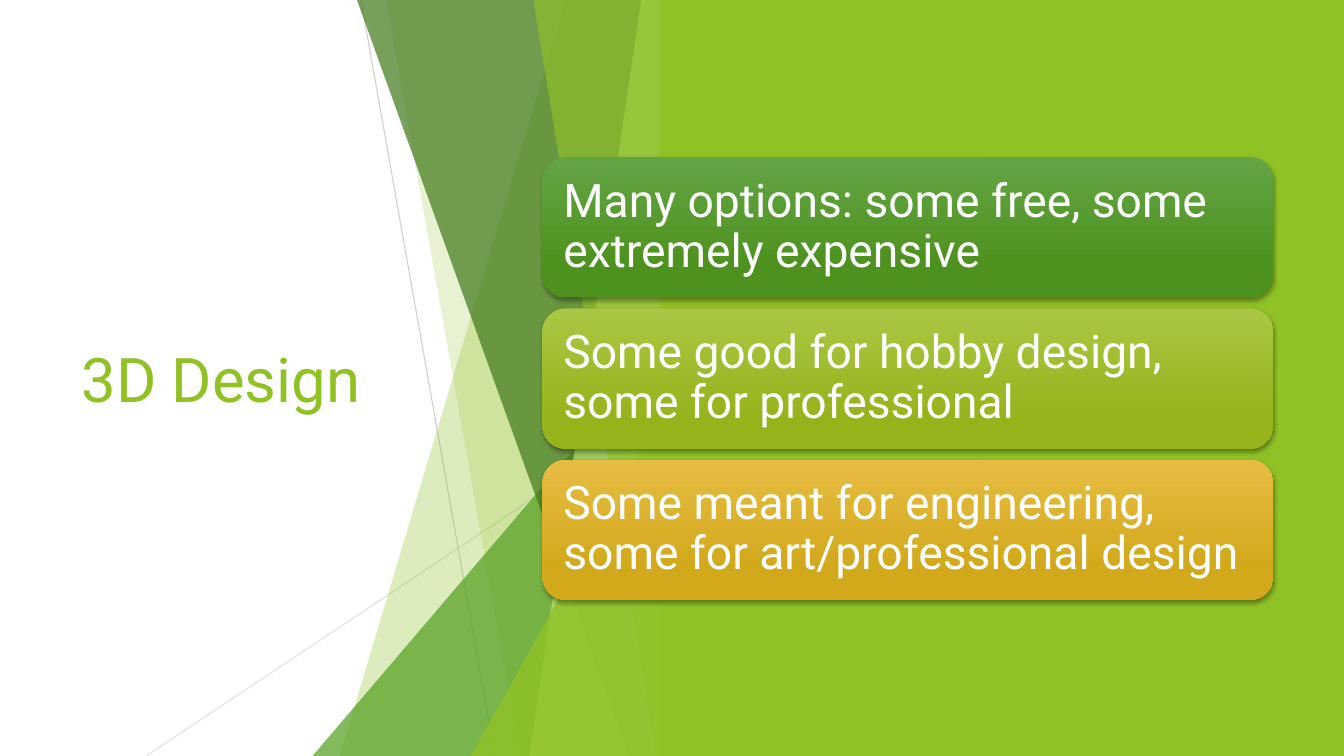
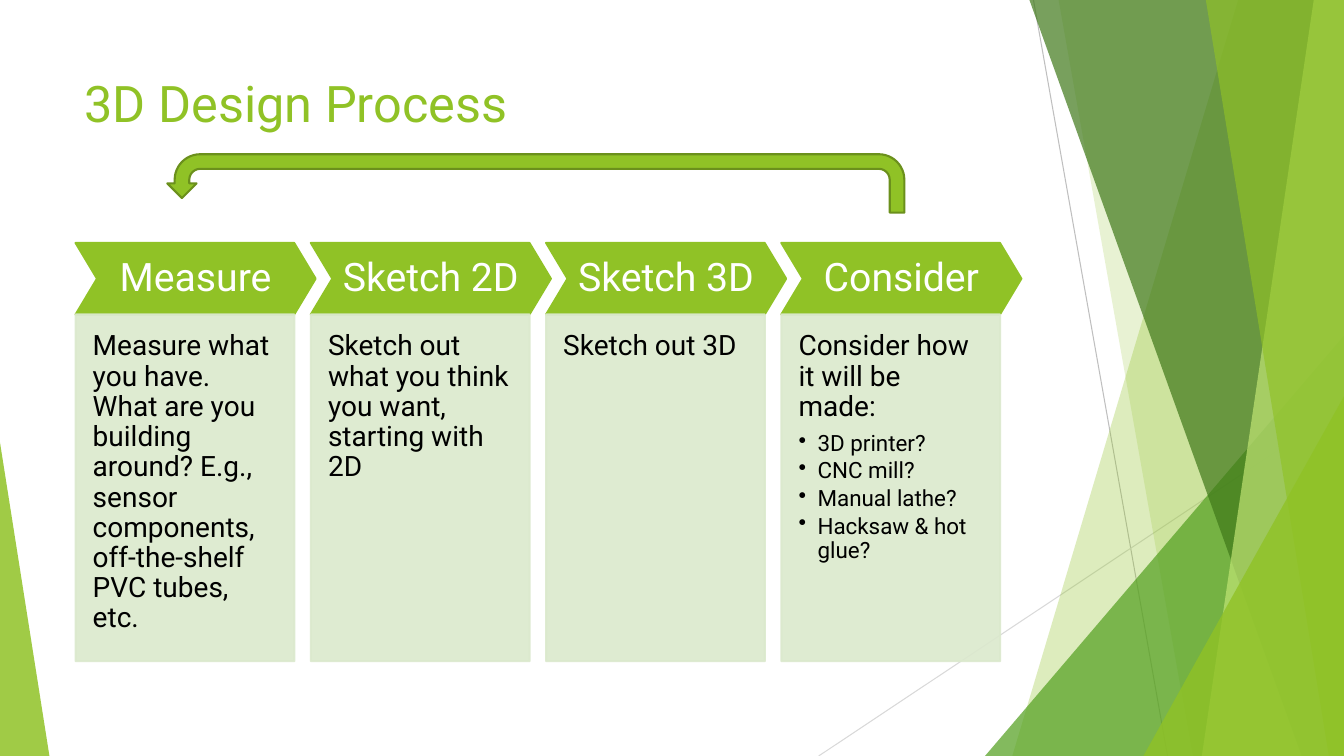
from dataclasses import dataclass
from lxml import etree
from pptx import Presentation, util as u
from pptx.dml.color import RGBColor
from pptx.enum import shapes, text
from pptx.oxml.ns import qn

KIND = shapes.MSO_SHAPE
MID, TOP = text.MSO_ANCHOR.MIDDLE, text.MSO_ANCHOR.TOP
LEFT, CENTER = text.PP_ALIGN.LEFT, text.PP_ALIGN.CENTER


@dataclass(frozen=True)
class Theme:
    font: str = "Roboto"
    lime: str = "90C226"
    leaf: str = "54A021"
    pine: str = "3F7819"
    pale: str = "C0E474"
    mint: str = "DBE9CD"
    edge: str = "6B901C"
    rule: str = "BFBFBF"
    haze: str = "D9D9D9"
    white: str = "FFFFFF"
    black: str = "000000"
    cover: int = 44
    title: int = 36
    card: int = 33
    step: int = 28
    body: int = 20
    item: int = 16


T = Theme()
WIDE, HIGH = 13.33, 7.5


def rgb(code):
    return RGBColor.from_string(code)


# Fill, line and text helpers
def fade(shape, alpha):
    """Give every colour of the shape's fill and line an opacity in percent."""
    for color in shape.element.spPr.iter(qn("a:srgbClr")):
        etree.SubElement(color, qn("a:alpha"), val=str(alpha * 1000))


def paint(shape, fill, alpha=100, line=None):
    shape.shadow.inherit = False
    shape.fill.solid()
    shape.fill.fore_color.rgb = rgb(fill)
    if line:
        shape.line.color.rgb = rgb(line)
        shape.line.width = u.Pt(1.5)
    else:
        shape.line.fill.background()
    if alpha < 100:
        fade(shape, alpha)


def style(par, size, color, align=LEFT, space=1.0, after=0):
    par.alignment, par.line_spacing = align, space
    par.space_after = u.Pt(after)
    for run in par.runs:
        run.font.name, run.font.size = T.font, u.Pt(size)
        run.font.color.rgb = rgb(color)


def frame(shape, anchor, pads=(0.1, 0.05, 0.1, 0.05)):
    box = shape.text_frame
    box.word_wrap, box.vertical_anchor = True, anchor
    (box.margin_left, box.margin_top,
     box.margin_right, box.margin_bottom) = map(u.Inches, pads)
    return box


# Basic elements
def block(page, kind, at, fill, alpha=100, line=None, adj=None):
    shape = page.shapes.add_shape(kind, *map(u.Inches, at))
    if adj is not None:
        shape.adjustments[0] = adj
    paint(shape, fill, alpha, line)
    return shape


def title(page, words, at, size, anchor):
    box = frame(page.shapes.add_textbox(*map(u.Inches, at)), anchor)
    box.text = words
    style(box.paragraphs[0], size, T.lime)


def rule(page, ends, color, alpha):
    line = page.shapes.add_connector(
        shapes.MSO_CONNECTOR.STRAIGHT, *map(u.Inches, ends))
    line.line.color.rgb, line.line.width = rgb(color), u.Pt(0.75)
    etree.SubElement(line.element.spPr, qn("a:effectLst"))
    if alpha < 100:
        fade(line, alpha)


def facet(page, head, foot, right, fill, alpha):
    """Full-height band with a slanted left side."""
    pen = page.shapes.build_freeform(u.Inches(head), 0)
    spots = [(right, 0), (right, HIGH), (foot, HIGH)]
    pen.add_line_segments([(u.Inches(x), u.Inches(y)) for x, y in spots])
    paint(pen.convert_to_shape(), fill, alpha)


def wedge(page, right, wide, high, fill, alpha):
    """Triangle on the bottom edge, upright at its right side."""
    at = (right - wide, HIGH - high, wide, high)
    block(page, KIND.ISOSCELES_TRIANGLE, at, fill, alpha, adj=1)


# Shared art: crossing rules and translucent facets
def art(page, right, clear=(100, 100)):
    rule(page, (right - 3.08, 0, right - 1.75, HIGH), T.rule, clear[0])
    rule(page, (right, 4.03, right - 5.21, HIGH), T.haze, clear[1])

    def band(head, foot, fill, alpha):
        facet(page, right - head, right - foot, right, fill, alpha)

    band(1.05, 3.29, T.lime, 30)
    band(2.83, 1.5, T.lime, 20)
    wedge(page, right, 3.56, 4.17, T.leaf, 72)
    band(3.12, 0.42, T.pine, 70)
    band(0.3, 1.41, T.pale, 70)
    band(1.37, 0.15, T.lime, 65)
    wedge(page, right, 1.99, 3.57, T.lime, 80)


# Option card with a gradient and a soft shadow
def card(page, top, words, light, dark):
    at = (5.38, top, 7.25, 1.39)
    shape = block(page, KIND.ROUNDED_RECTANGLE, at, dark)
    shape.fill.gradient()
    shape.fill.gradient_angle = 270
    for stop, color, place in zip(
            shape.fill.gradient_stops, (light, dark), (0, 0.78)):
        stop.color.rgb, stop.position = rgb(color), place
    glow = etree.SubElement(
        shape.element.spPr.find(qn("a:effectLst")), qn("a:outerShdw"),
        blurRad=str(u.Pt(3)), dist=str(u.Pt(2)), dir="5400000",
        rotWithShape="0")
    shade = etree.SubElement(glow, qn("a:srgbClr"), val=T.black)
    etree.SubElement(shade, qn("a:alpha"), val="35000")
    box = frame(shape, MID, [0.14] * 4)
    box.text = words
    style(box.paragraphs[0], T.card, T.white, space=0.9)


# Process step: chevron head over a text panel
def bullet(par):
    style(par, T.item, T.black, space=0.9, after=2.4)
    props = par._p.get_or_add_pPr()
    dent = u.Inches(0.19)
    props.set("marL", str(dent))
    props.set("indent", str(-dent))
    etree.SubElement(props, qn("a:buChar"), char="•")


def step(page, left, name, words, items):
    head = block(page, KIND.CHEVRON, (left, 2.41, 2.38, 0.71),
                 T.lime, line=T.lime, adj=0.3)
    box = frame(head, MID, [0.09] * 4)
    box.text = name
    style(box.paragraphs[0], T.step, T.white, CENTER, 0.9)

    panel = block(page, KIND.RECTANGLE, (left, 3.12, 2.17, 3.44),
                  T.mint, 90, T.mint)
    box = frame(panel, TOP, (0.17, 0.17, 0.17, 0.34))
    box.text = words
    style(box.paragraphs[0], T.body, T.black, space=0.9, after=7)
    for item in items:
        par = box.add_paragraph()
        par.text = item
        bullet(par)


# Slides
def design(page):
    title(page, "3D Design", (0.71, 1.51, 3.88, 4.48), T.cover, MID)
    art(page, 6.66, (75, 80))
    block(page, KIND.RECTANGLE, (6.54, 0, WIDE - 6.54, HIGH), T.lime)
    cards = [
        ("Many options: some free, some extremely expensive",
         "63A545", "4D921E"),
        ("Some good for hobby design, some for professional",
         "AAC744", "97B31C"),
        ("Some meant for engineering, some for art/professional design",
         "E7BC43", "D2A91B"),
    ]
    for row, data in enumerate(cards):
        card(page, 1.56 + 1.5 * row, *data)


def process(page):
    art(page, WIDE)
    block(page, KIND.ISOSCELES_TRIANGLE, (0, 4.39, 0.49, 3.11),
          T.lime, 85, adj=0)
    title(page, "3D Design Process", (0.74, 0.67, 9.4, 1.44), T.title, TOP)
    steps = [
        ("Measure", "Measure what you have. What are you building around? "
         "E.g., sensor components, off-the-shelf PVC tubes, etc.", []),
        ("Sketch 2D", "Sketch out what you think you want, "
         "starting with 2D", []),
        ("Sketch 3D", "Sketch out 3D", []),
        ("Consider", "Consider how it will be made:",
         ["3D printer?", "CNC mill?", "Manual lathe?",
          "Hacksaw & hot glue?"]),
    ]
    for col, data in enumerate(steps):
        step(page, 0.75 + 7 / 3 * col, *data)
    # Return arrow from the last step to the first
    loop = block(page, KIND.U_TURN_ARROW, (1.66, 1.53, 7.31, 0.58),
                 T.lime, line=T.edge)
    loop.element.spPr.find(qn("a:xfrm")).set("flipH", "1")


def main():
    deck = Presentation()
    deck.slide_width, deck.slide_height = u.Inches(WIDE), u.Inches(HIGH)
    for draw in (design, process):
        draw(deck.slides.add_slide(deck.slide_layouts[6]))
    deck.save("out.pptx")


if __name__ == "__main__":
    main()
